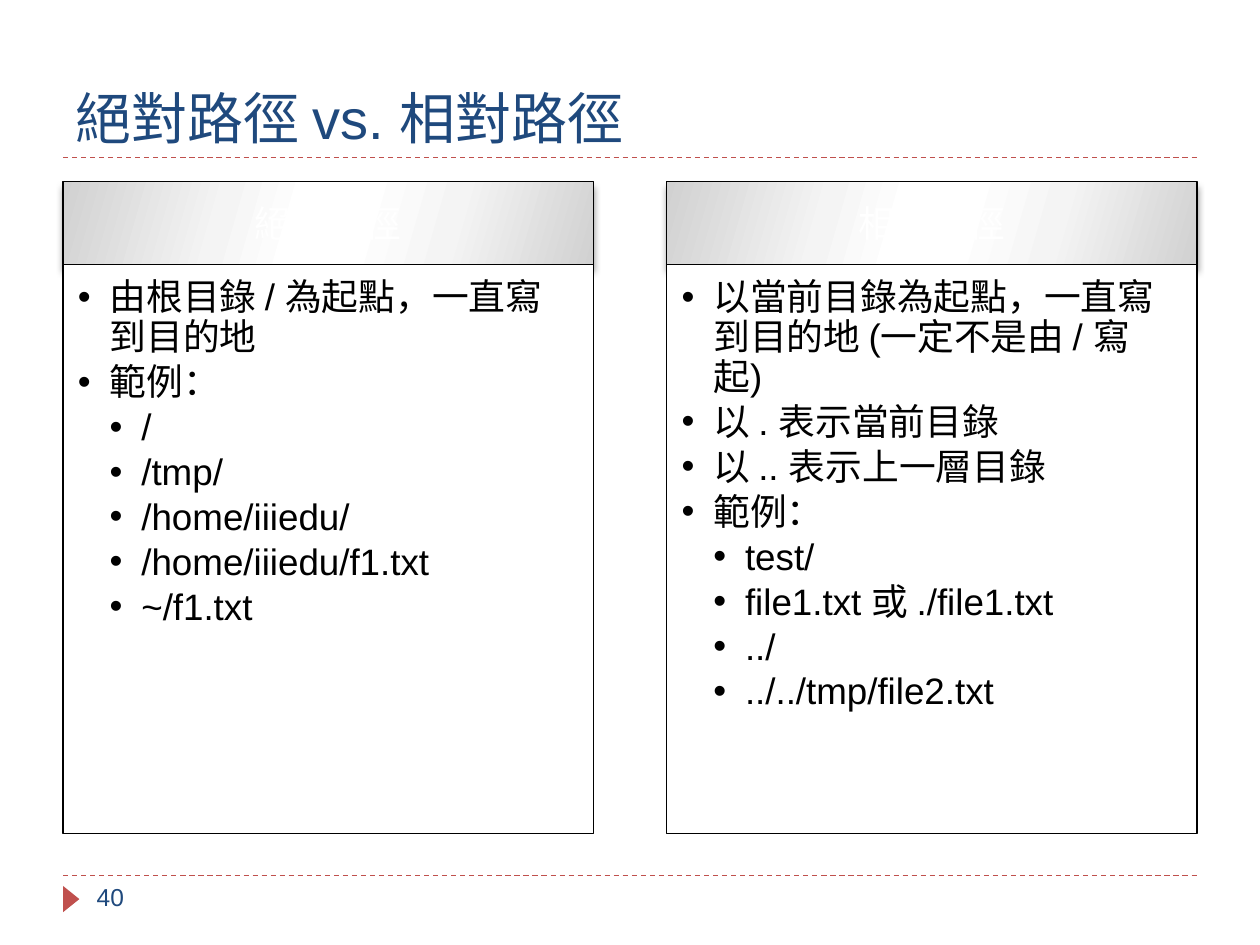
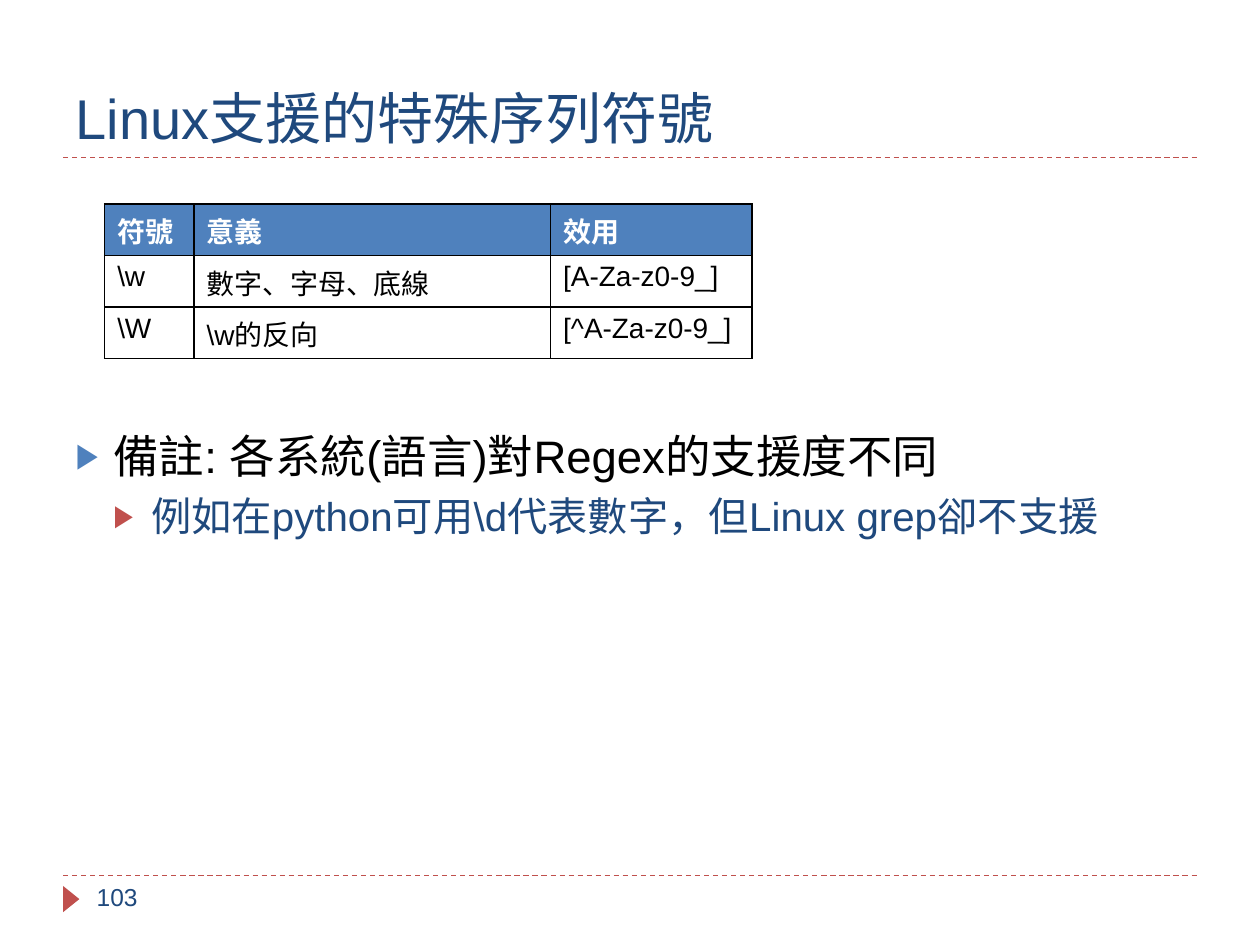
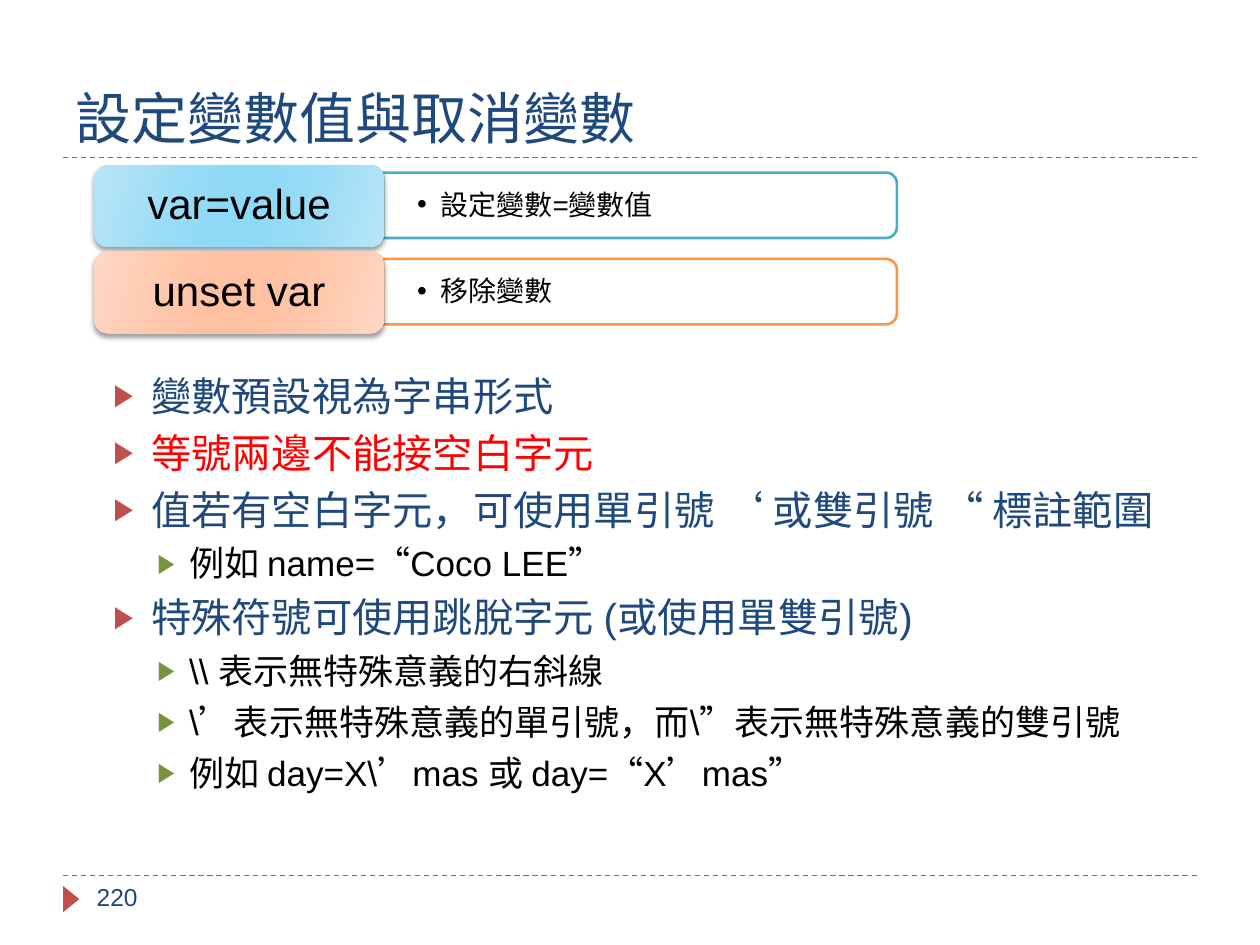
from lxml import etree
from pptx import Presentation
from pptx import util as u
from pptx.dml import color as dml_color
from pptx.enum import dml, shapes, text
from pptx.oxml import ns

Cm, Pt = u.Cm, u.Pt
rgb = dml_color.RGBColor.from_string

FONT = "Arial"
NAVY, RED, BLUE, GREEN = "1F497D", "C0504D", "4F81BD", "77933C"
BLACK, WHITE, ALERT = "000000", "FFFFFF", "FF0000"
MARGIN, CONTENT_WIDTH = 1.27, 22.86


def write(frame, words, size=16, color=BLACK, bold=False, level=0, indent=0, hang=0,
          bullet=None, bullet_color=None, bullet_size=100, before=0, after=0,
          spacing=None, align=text.PP_ALIGN.LEFT):
    """Fill the first empty paragraph of a frame, or add one."""
    para = frame.paragraphs[0]
    first = not para.runs
    if not first:
        para = frame.add_paragraph()
    props = para._p.get_or_add_pPr()
    props.set("marL", str(Cm(indent)))
    props.set("indent", str(-Cm(hang)))
    if bullet:
        if bullet_color:
            paint = etree.SubElement(props, ns.qn("a:buClr"))
            etree.SubElement(paint, ns.qn("a:srgbClr"), val=bullet_color)
        etree.SubElement(props, ns.qn("a:buSzPct"), val=str(bullet_size * 1000))
        etree.SubElement(props, ns.qn("a:buFont"), typeface=FONT)
        etree.SubElement(props, ns.qn("a:buChar"), char=bullet)
    para.level, para.alignment = level, align
    para.space_before = Pt(0 if first else before)
    para.space_after = Pt(after)
    if spacing:
        para.line_spacing = spacing
    span = para.add_run()
    span.text = words
    span.font.name, span.font.size, span.font.bold = FONT, Pt(size), bold
    span.font.color.rgb = rgb(color)


def add_block(page, kind, left, top, width, height, fill=WHITE, line=None,
              line_width=0.75, shadow=None):
    """Add a preset shape; a tuple of three colours makes a mirrored sheen."""
    block = page.shapes.add_shape(kind, Cm(left), Cm(top), Cm(width), Cm(height))
    block.shadow.inherit = False
    if isinstance(fill, tuple):
        block.fill.gradient()
        block.fill.gradient_angle = 344
        stops = block._element.spPr.find(".//" + ns.qn("a:gsLst"))
        for stop in list(stops):
            stops.remove(stop)
        for place, shade in zip((0, 30, 45, 55, 73, 100), fill + fill[::-1]):
            stop = etree.SubElement(stops, ns.qn("a:gs"), pos=str(place * 1000))
            etree.SubElement(stop, ns.qn("a:srgbClr"), val=shade)
    else:
        block.fill.solid()
        block.fill.fore_color.rgb = rgb(fill)
    if line:
        block.line.color.rgb = rgb(line)
        block.line.width = Pt(line_width)
    else:
        block.line.fill.background()
    if shadow:
        blur, distance = shadow
        effects = block._element.spPr.find(ns.qn("a:effectLst"))
        outer = etree.SubElement(effects, ns.qn("a:outerShdw"), blurRad=str(Pt(blur)),
                                 dist=str(Pt(distance)), dir="5400000", rotWithShape="0")
        tint = etree.SubElement(outer, ns.qn("a:srgbClr"), val=BLACK)
        etree.SubElement(tint, ns.qn("a:alpha"), val="40000")
    return block


deck = Presentation()
deck.slide_width, deck.slide_height = Cm(25.4), Cm(19.05)

# Shared frame: rules, marker, page number and title
TITLE_ONLY, TITLE_AND_BODY = deck.slide_layouts[5], deck.slide_layouts[1]
pages = []
for layout, title, number in [
    (TITLE_ONLY, "絕對路徑 vs. 相對路徑", "40"),
    (TITLE_AND_BODY, "Linux支援的特殊序列符號", "103"),
    (TITLE_AND_BODY, "設定變數值與取消變數", "220"),
]:
    page = deck.slides.add_slide(layout)
    pages.append(page)
    for height in (17.65, 3.18):
        rule = page.shapes.add_connector(
            shapes.MSO_CONNECTOR.STRAIGHT, Cm(MARGIN), Cm(height),
            Cm(MARGIN + CONTENT_WIDTH), Cm(height))
        rule.line.color.rgb = rgb(RED)
        rule.line.width = Pt(0.75)
        rule.line.dash_style = dml.MSO_LINE.DASH
        etree.SubElement(rule._element.spPr, ns.qn("a:effectLst"))
    marker = add_block(page, shapes.MSO_SHAPE.ISOSCELES_TRIANGLE,
                       1.17, 17.96, 0.53, 0.33, fill=RED)
    marker.rotation = 90
    number_box = page.shapes.add_textbox(Cm(1.7), Cm(17.65), Cm(5.51), Cm(1.02))
    number_box.text_frame.word_wrap = True
    write(number_box.text_frame, number, size=14, color=NAVY)

    heading = page.shapes.title
    heading.left, heading.top = Cm(MARGIN), Cm(0.43)
    heading.width, heading.height = Cm(CONTENT_WIDTH), Cm(2.74)
    heading.text_frame.auto_size = text.MSO_AUTO_SIZE.NONE
    heading.text_frame.vertical_anchor = text.MSO_ANCHOR.BOTTOM
    write(heading.text_frame, title, size=32, color=NAVY)

paths_page, symbols_page, variables_page = pages

# Absolute and relative paths: two headed panels
PANEL_WIDTH, PANEL_STEP = 10.69, 12.17
panels = [
    ("絕對路徑", [
        (1, "由根目錄 / 為起點，一直寫到目的地"), (1, "範例："), (2, "/"), (2, "/tmp/"),
        (2, "/home/iiiedu/"), (2, "/home/iiiedu/f1.txt"), (2, "~/f1.txt")]),
    ("相對路徑", [
        (1, "以當前目錄為起點，一直寫到目的地 (一定不是由 / 寫起)"),
        (1, "以 . 表示當前目錄"), (1, "以 .. 表示上一層目錄"), (1, "範例："),
        (2, "test/"), (2, "file1.txt 或 ./file1.txt"), (2, "../"),
        (2, "../../tmp/file2.txt")]),
]
for column, (name, items) in enumerate(panels):
    left = MARGIN + column * PANEL_STEP
    header = add_block(paths_page, shapes.MSO_SHAPE.RECTANGLE, left, 3.66, PANEL_WIDTH, 1.68,
                       fill=("D1D1D1", "F4F4F4", WHITE), line=BLACK, shadow=(4, 3.4))
    header.text_frame.vertical_anchor = text.MSO_ANCHOR.MIDDLE
    write(header.text_frame, name, size=21, color=WHITE, align=text.PP_ALIGN.CENTER)

    panel = add_block(paths_page, shapes.MSO_SHAPE.RECTANGLE, left, 5.33, PANEL_WIDTH, 11.48,
                      line=BLACK)
    frame = panel.text_frame
    frame.vertical_anchor = text.MSO_ANCHOR.TOP
    frame.margin_left = frame.margin_top = Cm(0.3)
    frame.margin_right, frame.margin_bottom = Cm(0.41), Cm(0.46)
    for level, item in items:
        write(frame, item, size=21, level=level, indent=0.64 * level, hang=0.64,
              bullet="•", after=3, spacing=0.9)

# Lists in the body placeholders
LIST_STYLES = [
    dict(size=26, color=BLACK, indent=0.76, hang=0.76, bullet_color=BLUE, before=6),
    dict(size=23, color=NAVY, indent=1.52, hang=0.76, bullet_color=RED, before=5),
    dict(size=20, color=BLACK, indent=2.29, hang=0.64, bullet_color=GREEN, before=5),
]
lists = [
    (symbols_page, 8.51, [
        (0, "備註: 各系統(語言)對Regex的支援度不同"),
        (1, "例如在python可用\\d代表數字，但Linux grep卻不支援")]),
    (variables_page, 7.35, [
        (1, "變數預設視為字串形式"),
        (1, "等號兩邊不能接空白字元"),
        (1, "值若有空白字元，可使用單引號 ‘ 或雙引號 “ 標註範圍"),
        (2, "例如 name=“Coco LEE”"),
        (1, "特殊符號可使用跳脫字元 (或使用單雙引號)"),
        (2, "\\\\ 表示無特殊意義的右斜線"),
        (2, "\\’表示無特殊意義的單引號，而\\”表示無特殊意義的雙引號"),
        (2, "例如 day=X\\’mas 或 day=“X’mas”")]),
]
for page, top, items in lists:
    body = page.placeholders[1]
    body.left, body.top = Cm(MARGIN), Cm(top)
    body.width, body.height = Cm(CONTENT_WIDTH), Cm(17.09 - top)
    body.text_frame.auto_size = text.MSO_AUTO_SIZE.NONE
    for level, item in items:
        style = dict(LIST_STYLES[level])
        if item.startswith("等號"):
            style["color"] = ALERT
        write(body.text_frame, item, level=level, bullet="▶", bullet_size=76, **style)

# Special sequences: table
rows = [
    ("符號", "意義", "效用"),
    ("\\w", "數字、字母、底線", "[A-Za-z0-9_]"),
    ("\\W", "\\w的反向", "[^A-Za-z0-9_]"),
]
widths, ROW_HEIGHT = (1.8, 7.19, 4.06), 1.04
table = symbols_page.shapes.add_table(
    len(rows), len(widths), Cm(2.11), Cm(4.11), Cm(sum(widths)),
    Cm(ROW_HEIGHT * len(rows))).table
for column, width in zip(table.columns, widths):
    column.width = Cm(width)
for row_index, row in enumerate(rows):
    table.rows[row_index].height = Cm(ROW_HEIGHT)
    is_header = row_index == 0
    for column_index, words in enumerate(row):
        cell = table.cell(row_index, column_index)
        write(cell.text_frame, words, color=WHITE if is_header else BLACK, bold=is_header)
        props = cell._tc.get_or_add_tcPr()
        for side in ("lnL", "lnR", "lnT", "lnB"):
            border = etree.SubElement(props, ns.qn("a:" + side), w=str(Pt(1)))
            paint = etree.SubElement(border, ns.qn("a:solidFill"))
            etree.SubElement(paint, ns.qn("a:srgbClr"), val=BLACK)
        if is_header:
            cell.fill.solid()
            cell.fill.fore_color.rgb = rgb(BLUE)
        else:
            cell.fill.background()

# Setting and unsetting variables: command pills with explanations
commands = [
    ("var=value", "設定變數=變數值", "4BACC6", ("B9E5F7", "99DCF6", "8DD9F6")),
    ("unset var", "移除變數", "F79646", ("FFD7C5", "FFC6AA", "FFC1A1")),
]
for index, (command, meaning, outline, sheen) in enumerate(commands):
    offset = index * 1.74
    tab = add_block(variables_page, shapes.MSO_SHAPE.ROUND_2_SAME_RECTANGLE,
                    12.24, -1.04 + offset, 1.32, 10.36, line=outline, line_width=1.5)
    tab.rotation = 90
    box = variables_page.shapes.add_textbox(Cm(7.72), Cm(3.56 + offset), Cm(10.31), Cm(1.19))
    frame = box.text_frame
    frame.word_wrap = True
    frame.vertical_anchor = text.MSO_ANCHOR.MIDDLE
    frame.margin_left = frame.margin_right = Cm(0.69)
    frame.margin_top = frame.margin_bottom = Cm(0)
    write(frame, meaning, level=1, indent=0.48, hang=0.48, bullet="•", after=2, spacing=0.9)

    pill = add_block(variables_page, shapes.MSO_SHAPE.ROUNDED_RECTANGLE,
                     1.9, 3.33 + offset, 5.84, 1.65, fill=sheen, shadow=(3, 2))
    pill.text_frame.vertical_anchor = text.MSO_ANCHOR.MIDDLE
    write(pill.text_frame, command, size=24, spacing=0.9, align=text.PP_ALIGN.CENTER)

deck.save("out.pptx")
